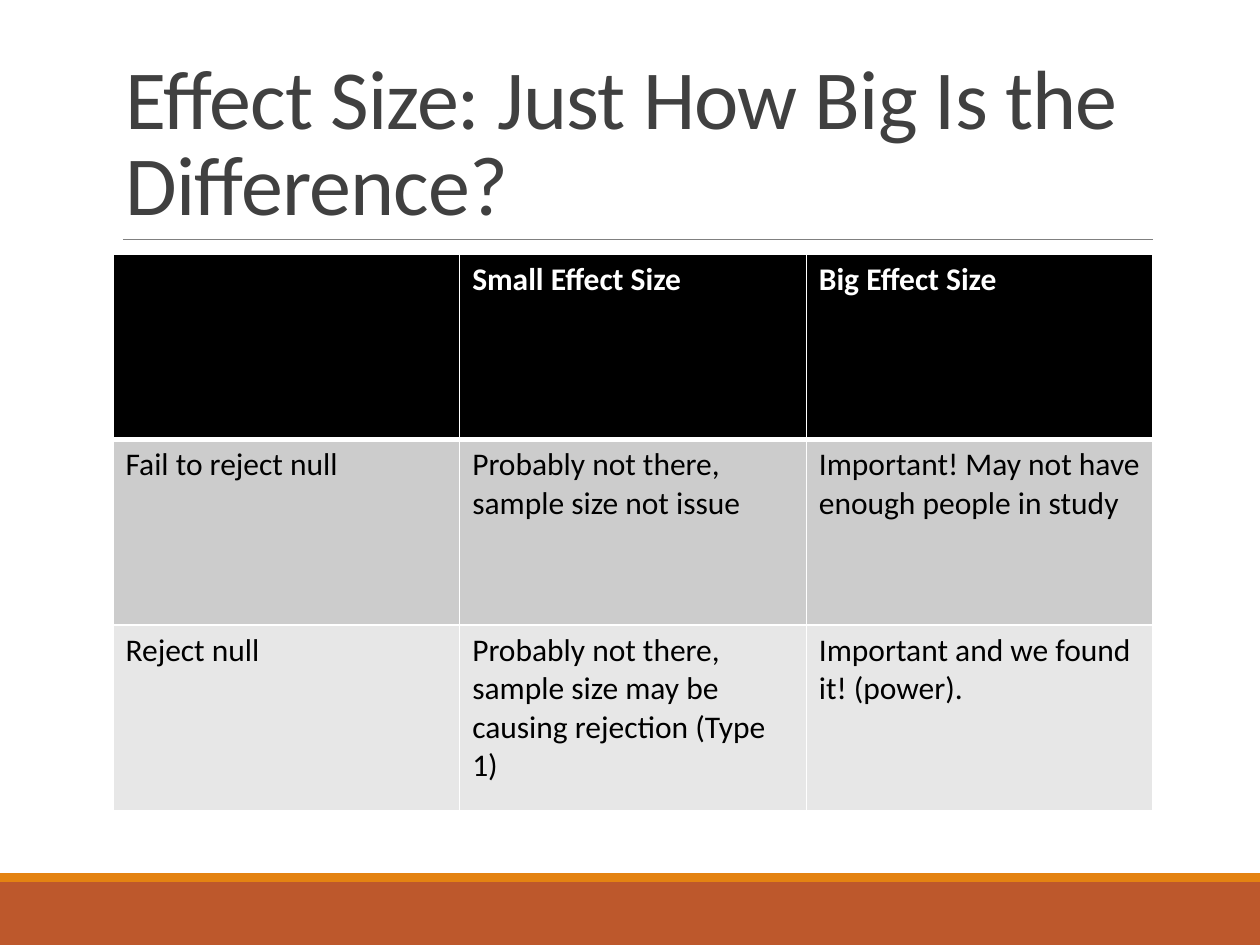
from lxml.etree import SubElement
from pptx import Presentation
from pptx.dml.color import RGBColor
from pptx.enum.shapes import MSO_CONNECTOR, MSO_SHAPE
from pptx.enum.text import MSO_ANCHOR, MSO_AUTO_SIZE, PP_ALIGN
from pptx.oxml.ns import qn
from pptx.util import Pt

EMU_PER_PIXEL = 914400 / 126
FONT = "Calibri"
ROWS = [
    ["", "Small Effect Size", "Big Effect Size"],
    ["Fail to reject null", "Probably not there, sample size not issue",
     "Important! May not have enough people in study"],
    ["Reject null", "Probably not there, sample size may be causing rejection (Type 1)",
     "Important and we found it! (power)."],
]
ROW_FILLS = ["000000", "CCCCCC", "E7E7E7"]


def px(*lengths):
    return [round(length * EMU_PER_PIXEL) for length in lengths]


def color(hex_value):
    return RGBColor.from_string(hex_value)


def set_attributes(target, values):
    for name, value in values.items():
        setattr(target, name, value)


def format_font(font, size, hex_value, bold=False):
    set_attributes(font, {"name": FONT, "size": Pt(size), "bold": bold})
    font.color.rgb = color(hex_value)


def add_band(slide, top, height, fill):
    band = slide.shapes.add_shape(MSO_SHAPE.RECTANGLE, *px(0, top, 1260, height))
    band.shadow.inherit = False
    band.fill.solid()
    band.fill.fore_color.rgb = color(fill)
    band.line.fill.background()


def add_rule(slide, left, right, top):
    rule = slide.shapes.add_connector(MSO_CONNECTOR.STRAIGHT, *px(left, top, right, top))
    rule.line.color.rgb = color("808080")
    rule.line.width = Pt(0.5)
    SubElement(rule._element.spPr, qn("a:effectLst"))


def format_title(title, text):
    box = dict(zip(("left", "top", "width", "height"), px(113, 39, 1040, 200)))
    set_attributes(title, box)
    frame = title.text_frame
    set_attributes(frame, {"word_wrap": True, "auto_size": MSO_AUTO_SIZE.NONE,
                           "vertical_anchor": MSO_ANCHOR.BOTTOM})
    paragraph = frame.paragraphs[0]
    set_attributes(paragraph, {"alignment": PP_ALIGN.LEFT, "line_spacing": 0.85})
    run = paragraph.add_run()
    run.text = text
    format_font(run.font, 48, "404040")
    run.font._element.set("spc", "-50")


def add_borders(cell, widths):
    properties = cell._tc.get_or_add_tcPr()
    for side, width in widths.items():
        line = SubElement(properties, qn(f"a:ln{side}"), w=str(Pt(width)))
        fill = SubElement(line, qn("a:solidFill"))
        SubElement(fill, qn("a:srgbClr"), val="FFFFFF")


def format_cell(cell, text, row_index):
    is_header = row_index == 0
    # A thicker border separates the header from the body
    add_borders(cell, {"L": 1, "R": 1, "T": 3 if row_index == 1 else 1,
                       "B": 3 if is_header else 1})
    cell.fill.solid()
    cell.fill.fore_color.rgb = color(ROW_FILLS[row_index])
    if text:
        run = cell.text_frame.paragraphs[0].add_run()
        run.text = text
        format_font(run.font, 18, "FFFFFF" if is_header else "000000", is_header)


def add_effect_table(slide):
    frame = slide.shapes.add_table(len(ROWS), len(ROWS[0]), *px(113, 254, 1040, 557))
    for row_index, texts in enumerate(ROWS):
        for column_index, text in enumerate(texts):
            format_cell(frame.table.cell(row_index, column_index), text, row_index)


def main():
    presentation = Presentation()
    presentation.slide_width, presentation.slide_height = px(1260, 945)
    slide = presentation.slides.add_slide(presentation.slide_layouts[5])

    # Footer bands and title rule
    add_band(slide, 882, 63, "BD582C")
    add_band(slide, 873, 9, "E48312")
    add_rule(slide, 123, 1153, 239)

    # Title and table
    format_title(slide.shapes.title, "Effect Size: Just How Big Is the Difference?")
    add_effect_table(slide)

    presentation.save("out.pptx")


if __name__ == "__main__":
    main()
